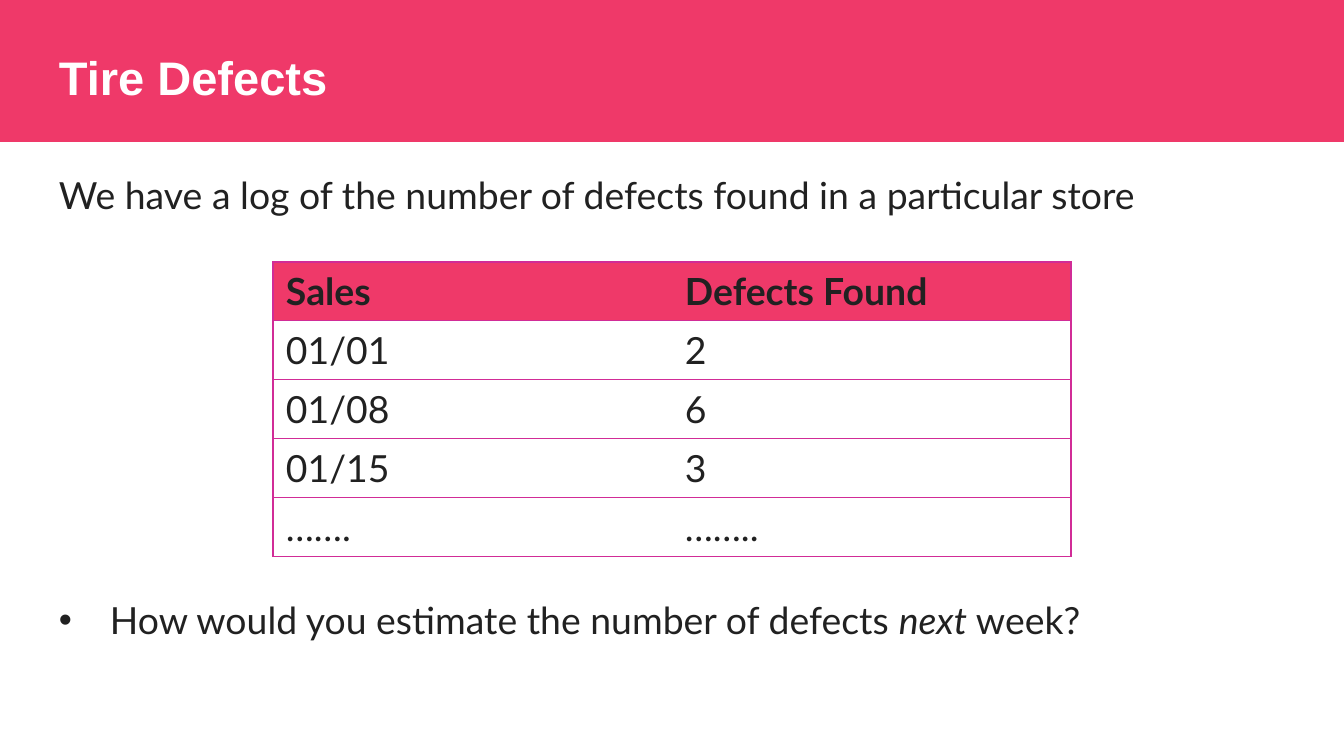
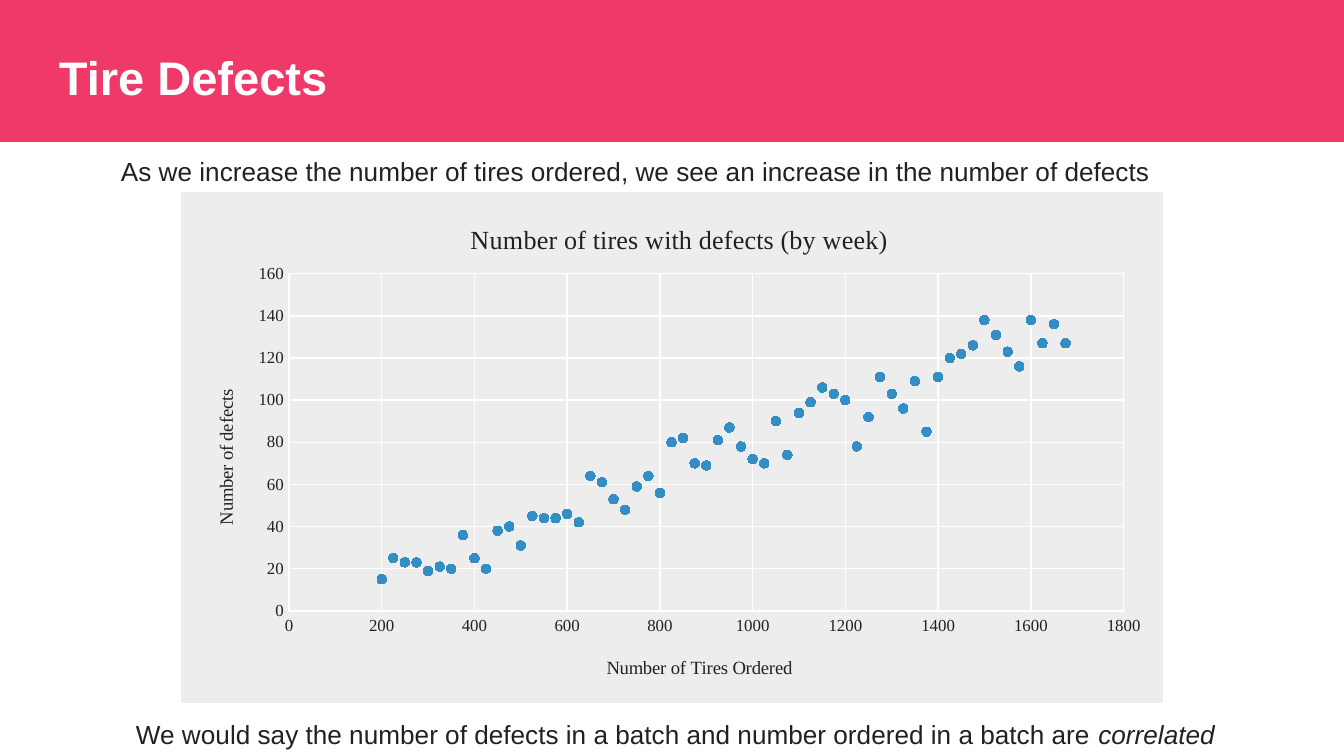
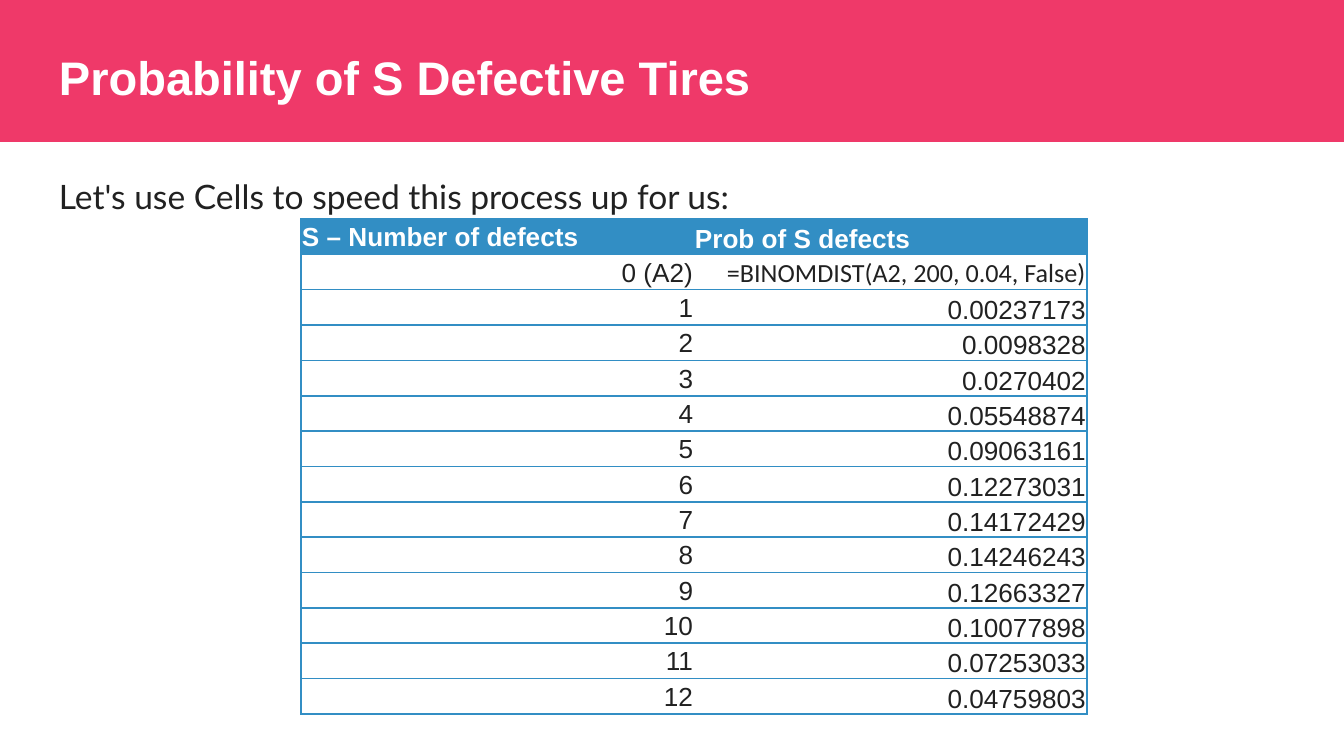
import lxml.etree
import pptx
import pptx.chart.data
import pptx.dml.color
import pptx.enum.chart
import pptx.enum.shapes
import pptx.enum.text
import pptx.oxml
import pptx.oxml.ns
import pptx.util

PX = 6804
PINK, MAGENTA, BLUE = "EF3969", "D12C97", "328EC4"
INK, WHITE, GREY = "212121", "FFFFFF", "EDEDED"
qn = pptx.oxml.ns.qn


def rgb(value):
    return pptx.dml.color.RGBColor.from_string(value)


def add_run(paragraph, text, size, font, color=INK, bold=False, italic=False):
    run = paragraph.add_run()
    run.text = text
    run.font.size = pptx.util.Pt(size)
    run.font.name = font
    run.font.bold = bold
    run.font.italic = italic
    run.font.color.rgb = rgb(color)


presentation = pptx.Presentation()
presentation.slide_width = 1344 * PX
presentation.slide_height = 756 * PX
layout = presentation.slide_layouts[5]

slides = []
for heading in ["Tire Defects", "Tire Defects", "Probability of S Defective Tires"]:
    slide = presentation.slides.add_slide(layout)
    title = slide.shapes.title
    title.left, title.top, title.width, title.height = 46 * PX, 34 * PX, 1253 * PX, 85 * PX
    frame = title.text_frame
    frame.auto_size = pptx.enum.text.MSO_AUTO_SIZE.NONE
    frame.vertical_anchor = pptx.enum.text.MSO_ANCHOR.MIDDLE
    frame.margin_left = frame.margin_right = frame.margin_top = frame.margin_bottom = 13 * PX
    frame.paragraphs[0].alignment = pptx.enum.text.PP_ALIGN.LEFT
    add_run(frame.paragraphs[0], heading, 25.2, "Arial", WHITE, bold=True)
    slides.append(slide)
log_slide, chart_slide, probability_slide = slides

band = log_slide.shapes.add_shape(pptx.enum.shapes.MSO_SHAPE.RECTANGLE, 0, 0, 1344 * PX, 142 * PX)
band.shadow.inherit = False
band.fill.solid()
band.fill.fore_color.rgb = rgb(PINK)
band.line.fill.background()
layout.shapes._spTree.insert(2, band._element)

texts = [
    (log_slide, (46, 165, 1235, 59), (13, 7), 20, "Lato",
     [("We have a log of the number of defects found in a particular store", False)]),
    (log_slide, (46, 590, 1087, 59), (13, 7), 20, "Lato",
     [("How would you estimate the number of defects ", False), ("next", True), (" week?", False)]),
    (chart_slide, (114, 148, 1156, 46), (7, 7), 14, "Arial",
     [("As we increase the number of tires ordered, we see an increase in the number of defects", False)]),
    (chart_slide, (129, 711, 1156, 46), (7, 7), 14, "Arial",
     [("We would say the number of defects in a batch and number ordered in a batch are ", False),
      ("correlated", True)]),
    (probability_slide, (46, 157, 1253, 598), (13, 13), 18, "Lato",
     [("Let's use Cells to speed this process up for us:", False)]),
]
paragraphs = []
for slide, box, (side, edge), size, font, runs in texts:
    frame = slide.shapes.add_textbox(*[length * PX for length in box]).text_frame
    frame.word_wrap = True
    frame.margin_left = frame.margin_right = side * PX
    frame.margin_top = frame.margin_bottom = edge * PX
    for text, italic in runs:
        add_run(frame.paragraphs[0], text, size, font, italic=italic)
    paragraphs.append(frame.paragraphs[0])

question = paragraphs[1]._p.get_or_add_pPr()
question.set("marL", str(51 * PX))
question.set("indent", str(-51 * PX))
lxml.etree.SubElement(question, qn("a:buFont")).set("typeface", "Arial")
lxml.etree.SubElement(question, qn("a:buChar")).set("char", "•")
paragraphs[4].line_spacing = 1.15
paragraphs[4].space_before = pptx.util.Pt(16)

log_rows = [("Sales", "Defects Found"), ("01/01", "2"), ("01/08", "6"), ("01/15", "3"), ("…….", "……..")]
probabilities = [
    "0.00237173", "0.0098328", "0.0270402", "0.05548874", "0.09063161", "0.12273031",
    "0.14172429", "0.14246243", "0.12663327", "0.10077898", "0.07253033", "0.04759803",
]
probability_rows = [("S – Number of defects", "Prob of S defects"), ("0 (A2)", "=BINOMDIST(A2, 200, 0.04, False)")]
probability_rows += [(str(count), value) for count, value in enumerate(probabilities, 1)]

top_anchor, bottom_anchor = pptx.enum.text.MSO_ANCHOR.TOP, pptx.enum.text.MSO_ANCHOR.BOTTOM
left_align, right_align = pptx.enum.text.PP_ALIGN.LEFT, pptx.enum.text.PP_ALIGN.RIGHT
tables = [
    (log_slide, log_rows, (273, 262), 399, 58, PINK, INK, MAGENTA, 0.75, 20, "Lato",
     top_anchor, left_align, [(13, 7, 13, 7), (13, 7, 13, 7)]),
    (probability_slide, probability_rows, (301, 219), 393, 35, BLUE, WHITE, BLUE, 1, 14, "Arial",
     bottom_anchor, right_align, [(1, 2, 1, 2), (1, 1, 1, 0)]),
]
for (slide, rows, (left, top), column_width, row_height, head_fill, head_color, border, weight,
     size, font, anchor, alignment, margins) in tables:
    table = slide.shapes.add_table(len(rows), 2, left * PX, top * PX, 2 * column_width * PX,
                                   len(rows) * row_height * PX).table
    table.horz_banding = False
    table._tbl.tblPr[0].text = "{2D5ABB26-0587-4C30-8999-92F81FD0307C}"
    for column in table.columns:
        column.width = column_width * PX
    for row_index, values in enumerate(rows):
        table.rows[row_index].height = row_height * PX
        is_head = row_index == 0
        for column_index, text in enumerate(values):
            cell = table.cell(row_index, column_index)
            cell.vertical_anchor = anchor
            cell.margin_left, cell.margin_top, cell.margin_right, cell.margin_bottom = [
                margin * PX for margin in margins[column_index]]
            properties = cell._tc.get_or_add_tcPr()
            for side in ["lnL" if column_index == 0 else "lnR", "lnT", "lnB"]:
                line = lxml.etree.SubElement(properties, qn("a:" + side), w=str(pptx.util.Pt(weight)))
                fill = lxml.etree.SubElement(line, qn("a:solidFill"))
                lxml.etree.SubElement(fill, qn("a:srgbClr")).set("val", border)
            cell.fill.solid()
            cell.fill.fore_color.rgb = rgb(head_fill if is_head else WHITE)
            paragraph = cell.text_frame.paragraphs[0]
            paragraph.alignment = left_align if is_head else alignment
            add_run(paragraph, text, size, "Calibri" if text.startswith("=") else font,
                    head_color if is_head else INK, bold=is_head)

defects = [
    15, 25, 23, 23, 19, 21, 20, 36, 25, 20, 38, 40, 31, 45, 44, 44, 46, 42, 64, 61,
    53, 48, 59, 64, 56, 80, 82, 70, 69, 81, 87, 78, 72, 70, 90, 74, 94, 99, 106, 103,
    100, 78, 92, 111, 103, 96, 109, 85, 111, 120, 122, 126, 138, 131, 123, 116, 138, 127, 136, 127,
]
chart_data = pptx.chart.data.XyChartData()
points = chart_data.add_series("Series 1")
for ordered, found in zip(range(200, 1700, 25), defects):
    points.add_data_point(ordered, found)
chart = chart_slide.shapes.add_chart(pptx.enum.chart.XL_CHART_TYPE.XY_SCATTER, 181 * PX, 192 * PX,
                                     982 * PX, 511 * PX, chart_data).chart
chart.has_legend = False
chart.font.size = pptx.util.Pt(10)
chart.font.name = "Times New Roman"
chart.font.color.rgb = rgb(INK)
chart.has_title = True
add_run(chart.chart_title.text_frame.paragraphs[0], "Number of tires with defects (by week)", 14, "Times New Roman")

for axis, name, maximum, step in [(chart.category_axis, "Number of Tires Ordered", 1800, 200),
                                  (chart.value_axis, "Number of defects", 160, 20)]:
    axis.minimum_scale, axis.maximum_scale, axis.major_unit = 0, maximum, step
    axis.major_tick_mark = axis.minor_tick_mark = pptx.enum.chart.XL_TICK_MARK.NONE
    axis.has_major_gridlines = True
    for line in [axis.format.line, axis.major_gridlines.format.line]:
        line.width = pptx.util.Pt(0.75)
        line.color.rgb = rgb(WHITE)
    axis.tick_labels.font.size = pptx.util.Pt(9)
    axis.tick_labels.font.name = "Times New Roman"
    axis.tick_labels.font.color.rgb = rgb(INK)
    axis.has_title = True
    add_run(axis.axis_title.text_frame.paragraphs[0], name, 10, "Times New Roman")

chart.plots[0].vary_by_categories = False
series = chart.plots[0].series[0]
series.format.line.fill.background()
series.marker.style = pptx.enum.chart.XL_MARKER_STYLE.CIRCLE
series.marker.size = 5
series.marker.format.fill.solid()
series.marker.format.fill.fore_color.rgb = rgb(BLUE)
series.marker.format.line.color.rgb = rgb(BLUE)

chart_space = chart._chartSpace
background = pptx.oxml.parse_xml(
    f'<c:spPr {pptx.oxml.ns.nsdecls("c", "a")}><a:solidFill><a:srgbClr val="{GREY}"/></a:solidFill>'
    '<a:ln><a:noFill/></a:ln></c:spPr>')
chart_space.find(qn("c:chart")).addnext(background)

chart_title, ordered_title, defects_title = list(chart_space.iter(qn("c:title")))
plot_area = next(chart_space.iter(qn("c:plotArea")))
placements = [
    (chart_title, 1, {"x": 0.29, "y": 0.05}),
    (ordered_title, 1, {"x": 0.43, "y": 0.9}),
    (defects_title, 1, {"x": 0.03, "y": 0.38}),
    (plot_area, 0, {"x": 0.11, "y": 0.16, "w": 0.85, "h": 0.66}),
]
for element, position, fractions in placements:
    for automatic in element.findall(qn("c:layout")):
        element.remove(automatic)
    placement = lxml.etree.Element(qn("c:layout"))
    element.insert(position, placement)
    manual = lxml.etree.SubElement(placement, qn("c:manualLayout"))
    if element is plot_area:
        lxml.etree.SubElement(manual, qn("c:layoutTarget")).set("val", "inner")
    for key in ["x", "y"]:
        lxml.etree.SubElement(manual, qn(f"c:{key}Mode")).set("val", "edge")
    for key, fraction in fractions.items():
        lxml.etree.SubElement(manual, qn("c:" + key)).set("val", str(fraction))

presentation.save("out.pptx")
